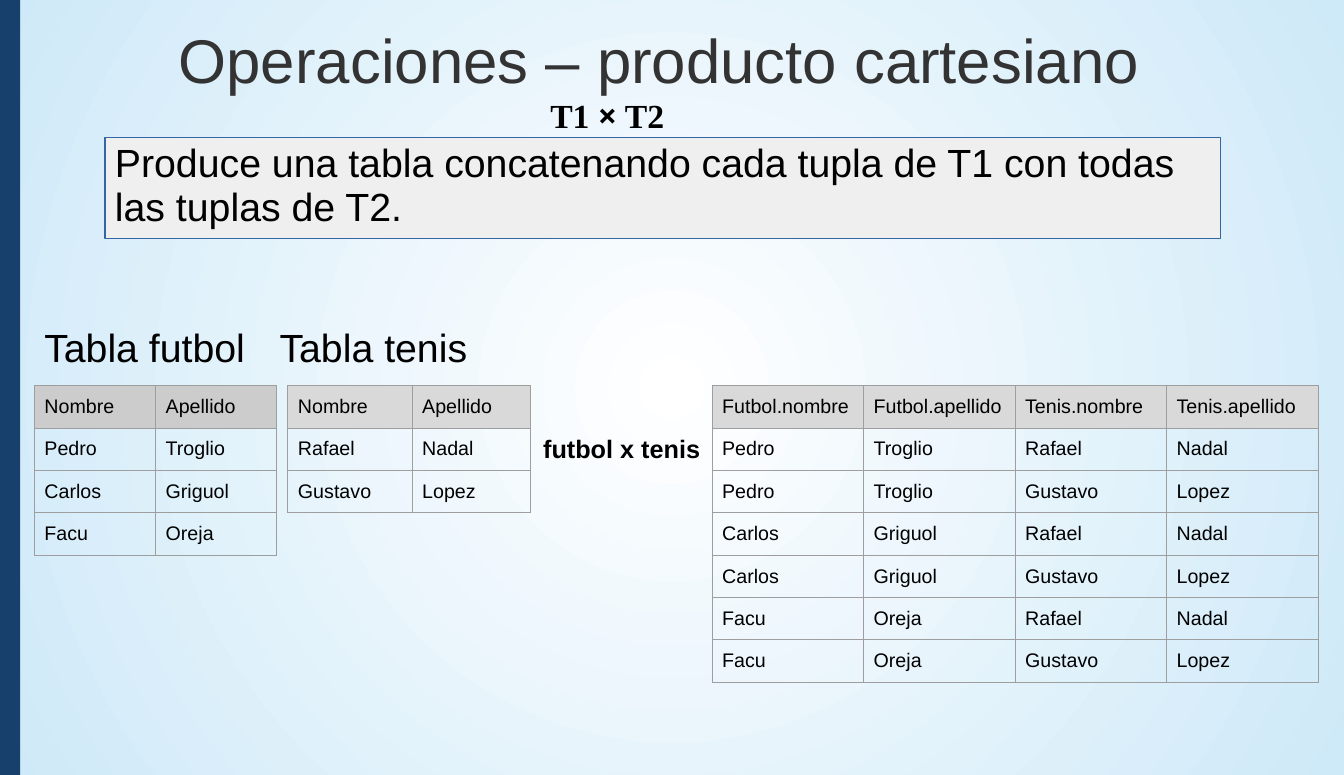
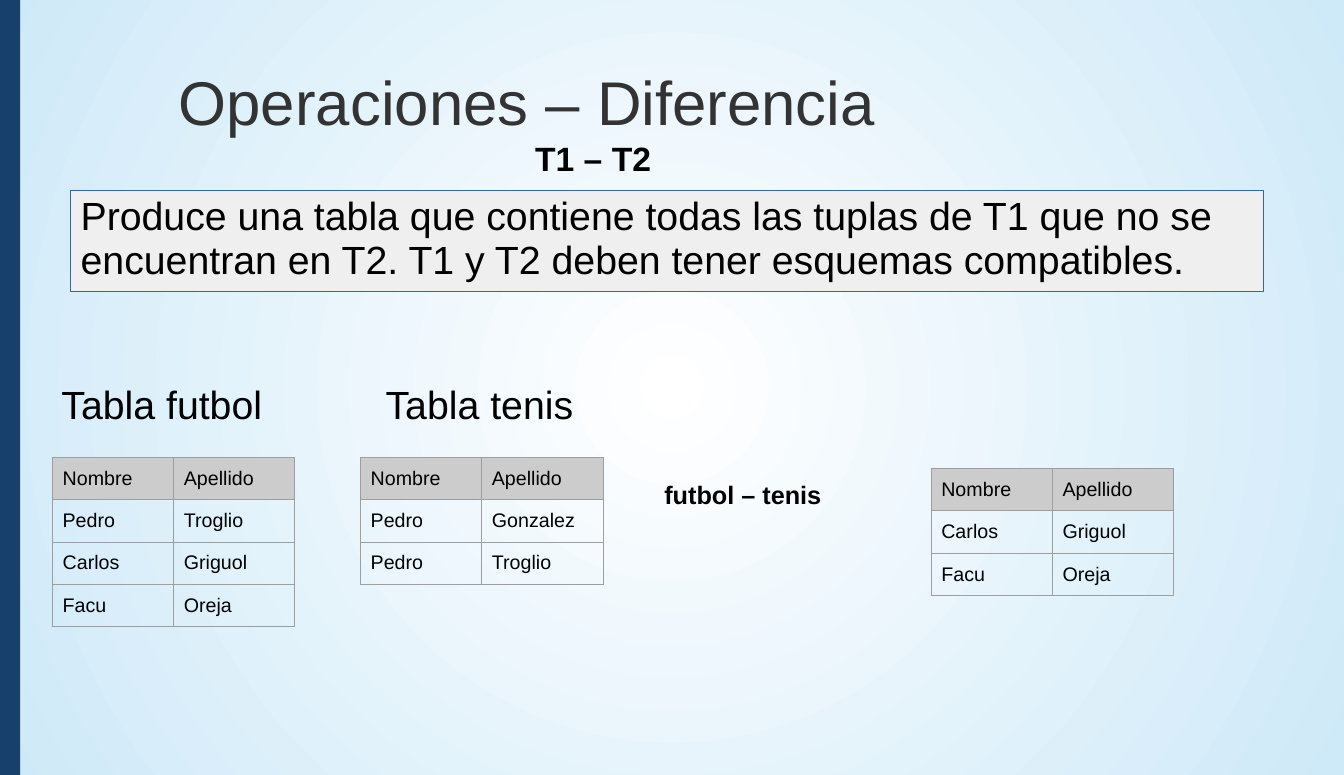
from pptx import Presentation
from pptx.util import Inches, Mm, Pt
from pptx.dml.color import RGBColor as RGB
from pptx.enum.shapes import MSO_SHAPE as SHAPE
from pptx.enum.text import MSO_ANCHOR as ANCHOR, PP_ALIGN as ALIGN
from pptx.oxml import parse_xml
from pptx.oxml.ns import nsdecls, qn

INK = RGB(0, 0, 0)
THEME = {
    "navy": RGB(0x17, 0x40, 0x6D),
    "white": RGB(0xFF, 0xFF, 0xFF),
    "sky": RGB(0xCE, 0xE9, 0xF8),
    "panel": RGB(0xEF, 0xEF, 0xEF),
    "edge": RGB(0x34, 0x65, 0xA4),
    "dark": RGB(0xCC, 0xCC, 0xCC),
    "light": RGB(0xD9, 0xD9, 0xD9),
    "grid": "9E9E9E",
    "face": "Arial",
    "serif": "Times New Roman",
    "rule": Pt(0.75),
    "styles": {
        "title": {"size": Pt(44), "bold": False, "color": RGB(0x33, 0x33, 0x33),
                  "pad": (0.12, 0.06, 0.06), "space": None},
        "symbol": {"size": Pt(24), "bold": True, "color": INK,
                   "pad": (0.1, 0.05, 0.05), "space": 0.96},
        "body": {"size": Pt(28), "bold": False, "color": INK,
                 "pad": (0.1, 0.05, 0.05), "space": 0.93},
        "result": {"size": Pt(18), "bold": True, "color": INK,
                   "pad": (0.1, 0.05, 0.05), "space": 0.96},
        "cell": {"size": Pt(14), "bold": False, "color": INK,
                 "pad": (0.1, 0.1, 0.07), "space": None},
    },
}
FACE, SERIF = THEME["face"], THEME["serif"]
ROW = 0.42


def write(frame, runs, style, box=None):
    look = THEME["styles"][style]
    side, top, base = look["pad"]
    pads = {"margin_left": side, "margin_right": side, "margin_top": top, "margin_bottom": base}
    for name, value in pads.items():
        setattr(box or frame, name, Inches(value))
    frame.word_wrap = True
    para = frame.paragraphs[0]
    if look["space"]:
        para.line_spacing = look["space"]
    for text, face in runs:
        run = para.add_run()
        run.text = text
        for name, value in {"name": face, "size": look["size"], "bold": look["bold"]}.items():
            setattr(run.font, name, value)
        run.font.color.rgb = look["color"]


def draw_grid(slide, spot, widths, rows, shade):
    frame = slide.shapes.add_table(len(rows), len(widths), *map(Inches, spot),
                                   Inches(sum(widths)), Inches(ROW * len(rows)))
    table = frame.table
    table.first_row = table.horz_banding = False
    for col, width in zip(table.columns, widths):
        col.width = Inches(width)
    for r, row in enumerate(rows):
        table.rows[r].height = Inches(ROW)
        for c, text in enumerate(row):
            cell = table.cell(r, c)
            write(cell.text_frame, [(text, FACE)], "cell", cell)
            props = cell._tc.get_or_add_tcPr()
            for side in "LRTB":
                props.append(parse_xml(
                    f'<a:ln{side} {nsdecls("a")} w="{THEME["rule"]}"><a:solidFill>'
                    f'<a:srgbClr val="{THEME["grid"]}"/></a:solidFill></a:ln{side}>'))
            if r:
                cell.fill.background()
            else:
                cell.fill.solid()
                cell.fill.fore_color.rgb = THEME[shade]


HEAD = ("Nombre", "Apellido")
FUTBOL = [("Pedro", "Troglio"), ("Carlos", "Griguol"), ("Facu", "Oreja")]
TENIS = [("Rafael", "Nadal"), ("Gustavo", "Lopez")]
RIVALS = [("Pedro", "Gonzalez"), ("Pedro", "Troglio")]
CROSS = [one + two for one in FUTBOL for two in TENIS]
MINUS = [pair for pair in FUTBOL if pair not in RIVALS]
WIDE = ("Futbol.nombre", "Futbol.apellido", "Tenis.nombre", "Tenis.apellido")
PAIR = [1.2] * 2

PAGES = [
    {
        "texts": [
            ("title", (1.65, 0.16, 11.87, 1.11), [("Operaciones – producto cartesiano", FACE)]),
            ("symbol", (5.35, 0.92, 1.81, 0.5), [("T1 ", SERIF), ("×", "Open Sans"), (" T2", SERIF)]),
            ("result", (5.28, 4.26, 2.57, 0.41), [("futbol x tenis", FACE)]),
            ("body", (0.34, 3.19, 2.73, 0.56), [("Tabla futbol", FACE)]),
            ("body", (2.67, 3.19, 2.76, 0.56), [("Tabla tenis", FACE)]),
        ],
        "panel": ((1.04, 1.36, 11.04, 1),
                  "Produce una tabla concatenando cada tupla de T1 con todas las tuplas de T2."),
        "grids": [
            ((0.34, 3.82), PAIR, [HEAD] + FUTBOL, "dark"),
            ((2.85, 3.82), [1.23, 1.17], [HEAD] + TENIS, "light"),
            ((7.05, 3.82), [1.5] * 4, [WIDE] + CROSS, "light"),
        ],
    },
    {
        "texts": [
            ("title", (1.65, 0.57, 11.87, 1.11), [("Operaciones – Diferencia", FACE)]),
            ("symbol", (5.2, 1.34, 1.41, 0.5), [("T1 – T2", FACE)]),
            ("result", (6.48, 4.72, 1.97, 0.69), [("futbol – tenis", FACE)]),
            ("body", (0.51, 3.76, 2.42, 0.56), [("Tabla futbol", FACE)]),
            ("body", (3.72, 3.76, 2.1, 0.56), [("Tabla tenis", FACE)]),
        ],
        "panel": ((0.7, 1.89, 11.81, 1),
                  "Produce una tabla que contiene todas las tuplas de T1 que no se encuentran en T2. "
                  "T1 y T2 deben tener esquemas compatibles."),
        "grids": [
            ((0.52, 4.53), PAIR, [HEAD] + FUTBOL, "dark"),
            ((3.57, 4.53), PAIR, [HEAD] + RIVALS, "dark"),
            ((9.22, 4.64), PAIR, [HEAD] + MINUS, "dark"),
        ],
    },
]

deck = Presentation()
deck.slide_width, deck.slide_height = Mm(338), Mm(195)

master = deck.slide_master
glow = master.background.fill
glow.gradient()
for stop, tint in zip(glow.gradient_stops, ("white", "sky")):
    stop.color.rgb = THEME[tint]
grad = master.element.find(".//" + qn("a:gradFill"))
grad.replace(grad.find(qn("a:lin")), parse_xml(
    f'<a:path {nsdecls("a")} path="circle">'
    '<a:fillToRect l="50000" t="50000" r="50000" b="50000"/></a:path>'))

for page in PAGES:
    slide = deck.slides.add_slide(deck.slide_layouts[6])
    shapes = slide.shapes
    band = shapes.add_shape(SHAPE.RECTANGLE, 0, 0, Inches(0.2), deck.slide_height)
    spot, words = page["panel"]
    panel = shapes.add_shape(SHAPE.RECTANGLE, *map(Inches, spot))
    for shape, tint in ((band, "navy"), (panel, "panel")):
        shape.shadow.inherit = False
        shape.fill.solid()
        shape.fill.fore_color.rgb = THEME[tint]
    band.line.fill.background()
    panel.line.color.rgb = THEME["edge"]
    panel.line.width = THEME["rule"]
    frame = panel.text_frame
    frame.vertical_anchor = ANCHOR.TOP
    frame.paragraphs[0].alignment = ALIGN.LEFT
    write(frame, [(words, FACE)], "body")
    for style, spot, runs in page["texts"]:
        write(shapes.add_textbox(*map(Inches, spot)).text_frame, runs, style)
    for grid in page["grids"]:
        draw_grid(slide, *grid)

deck.save("out.pptx")
